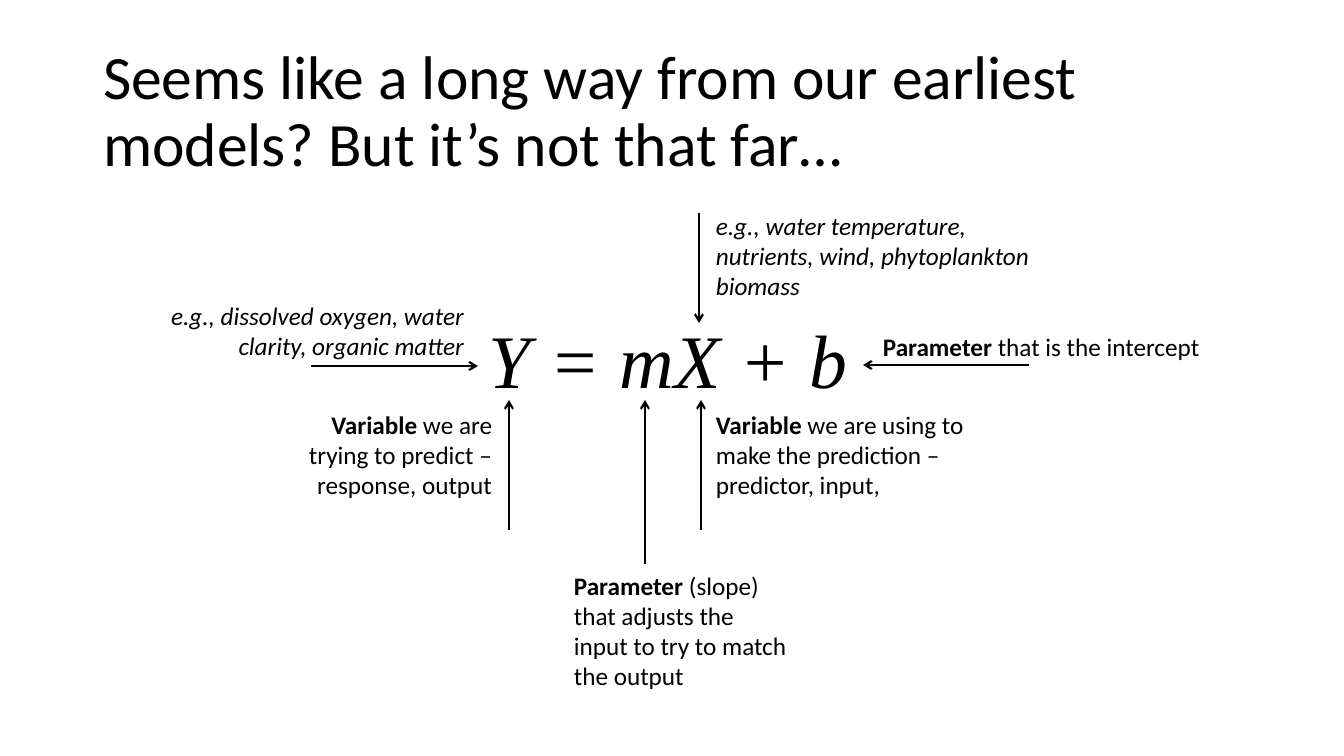
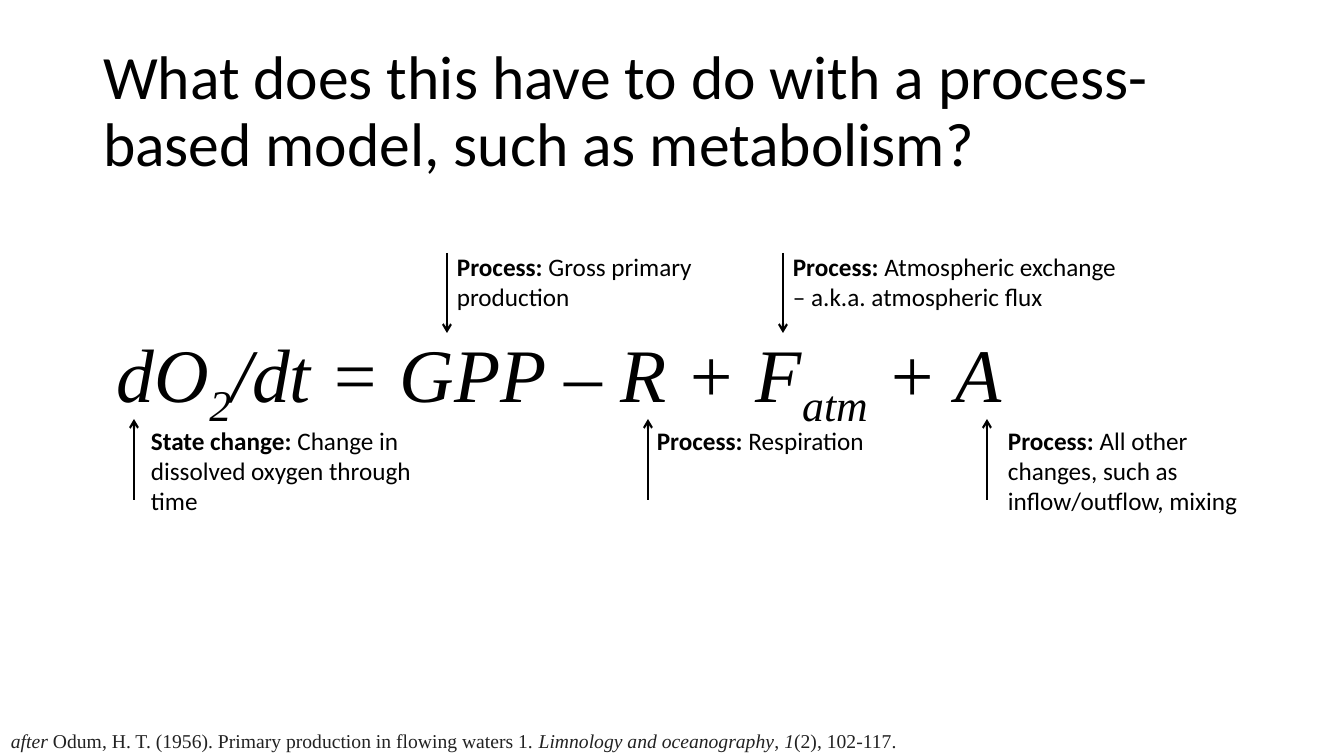
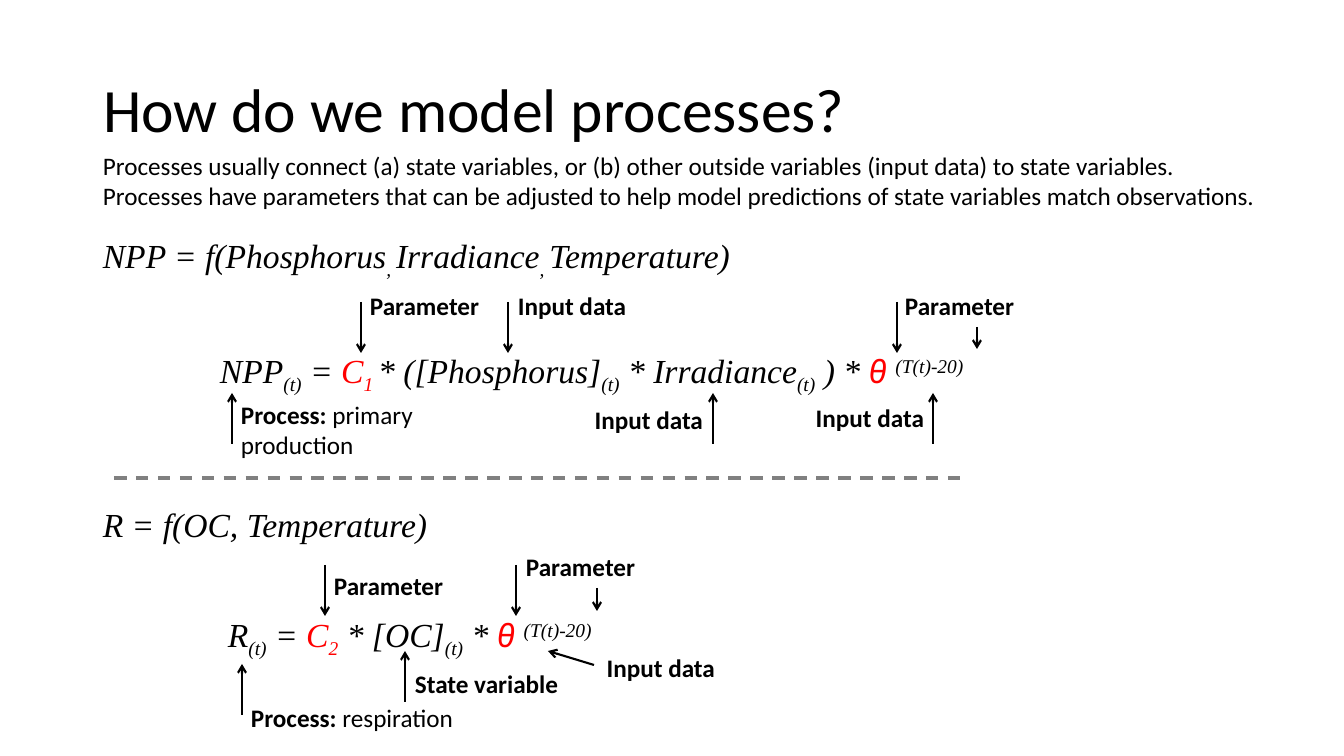
from lxml.etree import SubElement
from pptx import Presentation
from pptx.dml.color import RGBColor
from pptx.enum.dml import MSO_LINE
from pptx.enum.shapes import MSO_CONNECTOR
from pptx.enum.text import MSO_ANCHOR, MSO_AUTO_SIZE as AUTO_SIZE, PP_ALIGN as ALIGN
from pptx.oxml.ns import qn
from pptx.util import Emu, Pt

EMU_PER_PIXEL = 914400 / 100.8
BLACK, RED, GRAY, INK = "000000", "FF0000", "808080", "222222"
SANS, SERIF, GREEK = "Calibri", "Times New Roman", "Roboto"
LABEL_SIZE, FORMULA_SIZE, BIG_FORMULA_SIZE = 18, 24, 54
LABEL_WIDTH, NARROW_LABEL_WIDTH = 279, 200

# Kinds of formula part: font, colour, baseline shift in thousandths of a percent
FORMULA_PARTS = {
    "main": (SERIF, BLACK, 0),
    "sub": (SERIF, BLACK, -25000),
    "sup": (SERIF, BLACK, 30000),
    "red": (SERIF, RED, 0),
    "red sub": (SERIF, RED, -25000),
    "greek": (GREEK, RED, 0),
}
TEMPERATURE_TERM = [("θ ", "greek"), ("(T(t)-20)", "sup")]


def px(length):
    """Turn pixels into EMU."""
    return Emu(round(length * EMU_PER_PIXEL))


def color(hex_string):
    """Turn a hex string into a colour."""
    return RGBColor.from_string(hex_string)


def add_run(paragraph, text, size, font=SANS, fill=BLACK, bold=False, italic=False, baseline=0):
    """Add one formatted run to a paragraph."""
    run = paragraph.add_run()
    run.text = text
    run.font.name = font
    run.font.size = Pt(size)
    run.font.bold = bold
    run.font.italic = italic
    run.font.color.rgb = color(fill)
    if baseline:
        run._r.get_or_add_rPr().set("baseline", str(baseline))


def add_text_box(slide, left, top, width, height, align=ALIGN.LEFT):
    """Add a wrapping text box and return its first paragraph."""
    box = slide.shapes.add_textbox(px(left), px(top), px(width), px(height))
    box.text_frame.word_wrap = True
    box.text_frame.auto_size = AUTO_SIZE.SHAPE_TO_FIT_TEXT
    paragraph = box.text_frame.paragraphs[0]
    paragraph.alignment = align
    return paragraph


def add_label(slide, left, top, lead, rest="", width=LABEL_WIDTH, lines=1,
              align=ALIGN.LEFT, italic=False):
    """Add a label with a bold lead and plain or italic further text."""
    height = round(10.5 + 30.5 * lines)
    paragraph = add_text_box(slide, left, top, width, height, align)
    if lead:
        add_run(paragraph, lead, LABEL_SIZE, bold=True)
    if rest:
        add_run(paragraph, rest, LABEL_SIZE, italic=italic)


def add_formula(slide, left, top, parts, width=1005, height=50, size=FORMULA_SIZE):
    """Add an italic formula built from (text, kind) parts."""
    paragraph = add_text_box(slide, left, top, width, height)
    for text, kind in parts:
        font, fill, baseline = FORMULA_PARTS[kind]
        add_run(paragraph, text, size, font, fill, italic=True, baseline=baseline)


def add_line(slide, start, end, fill=BLACK, weight=1.5):
    """Add a straight line without a shadow."""
    line = slide.shapes.add_connector(
        MSO_CONNECTOR.STRAIGHT, px(start[0]), px(start[1]), px(end[0]), px(end[1]))
    line.line.color.rgb = color(fill)
    line.line.width = Pt(weight)
    return line


def finish_line(line, arrow=False):
    """Add the optional arrowhead and the empty effect list."""
    if arrow:
        SubElement(line.line._get_or_add_ln(), qn("a:tailEnd"), type="arrow")
    SubElement(line._element.spPr, qn("a:effectLst"))


def add_arrow(slide, start, end):
    """Add an arrow that points at end."""
    finish_line(add_line(slide, start, end), arrow=True)


def add_vertical_arrows(slide, xs, start_y, end_y):
    """Add upright arrows that share their start and end heights."""
    for x in xs:
        add_arrow(slide, (x, start_y), (x, end_y))


def add_divider(slide, left, right, y):
    """Add a dashed gray line across the slide."""
    line = add_line(slide, (left, y), (right, y), GRAY, 2.25)
    line.line.dash_style = MSO_LINE.DASH
    finish_line(line)


def add_titled_slide(presentation, text):
    """Add a title-only slide and format its title."""
    slide = presentation.slides.add_slide(presentation.slide_layouts[5])
    title = slide.shapes.title
    title.left, title.top, title.width, title.height = map(px, (93, 40, 1159, 146))
    frame = title.text_frame
    frame.word_wrap = True
    frame.auto_size = AUTO_SIZE.NONE
    frame.vertical_anchor = MSO_ANCHOR.MIDDLE
    paragraph = frame.paragraphs[0]
    paragraph.alignment = ALIGN.LEFT
    paragraph.line_spacing = 0.9
    add_run(paragraph, text, 44)
    return slide


def build_linear_model(presentation):
    """Build the slide on the straight-line model."""
    slide = add_titled_slide(
        presentation, "Seems like a long way from our earliest models? But it’s not that far…")
    add_formula(slide, 479, 308, [("Y = mX + b ", "main")], 672, 102, BIG_FORMULA_SIZE)
    add_label(slide, 269, 404, "Variable", " we are trying to predict – response, output",
              233, 3, ALIGN.RIGHT)
    add_label(slide, 706, 404, "Variable",
              " we are using to make the prediction – predictor, input, ", 316, 3)
    add_label(slide, 873, 326, "Parameter", " that is the intercept ", 349)
    add_label(slide, 564, 565, "Parameter",
              " (slope) that adjusts the input to try to match the output", 233, 4)
    add_label(slide, 125, 295, "", "e.g., dissolved oxygen, water clarity, organic matter",
              349, 2, ALIGN.RIGHT, italic=True)
    add_label(slide, 706, 205, "",
              "e.g., water temperature, nutrients, wind, phytoplankton biomass",
              349, 3, italic=True)
    add_vertical_arrows(slide, [699], 213, 323)
    add_vertical_arrows(slide, [509, 701], 530, 400)
    add_vertical_arrows(slide, [645], 564, 400)
    add_arrow(slide, (311, 366), (478, 366))
    add_arrow(slide, (1029, 365), (863, 365))


def build_metabolism(presentation):
    """Build the slide on the metabolism model."""
    slide = add_titled_slide(
        presentation, "What does this have to do with a process-based model, such as metabolism?")
    parts = [("dO", "main"), ("2", "sub"), ("/dt = GPP – R + F", "main"),
             ("atm", "sub"), (" + A ", "main")]
    add_formula(slide, 107, 322, parts, 988, 102, BIG_FORMULA_SIZE)
    add_label(slide, 447, 246, "Process: ", "Gross primary production", lines=2)
    add_label(slide, 783, 246, "Process: ",
              "Atmospheric exchange – a.k.a. atmospheric flux", 354, 2)
    add_label(slide, 141, 420, "State change: ",
              "Change in dissolved oxygen through time", 305, 3)
    add_label(slide, 647, 420, "Process: ", "Respiration")
    add_label(slide, 998, 420, "Process: ",
              "All other changes, such as inflow/outflow, mixing", 268, 3)
    add_vertical_arrows(slide, [447, 783], 253, 333)
    add_vertical_arrows(slide, [134, 648, 987], 500, 419)

    citation = add_text_box(slide, 1, 724, 1091, 34)
    for text, italic in [
        ("after ", True),
        ("Odum, H. T. (1956). Primary production in flowing waters 1.\u00a0", False),
        ("Limnology and oceanography", True),
        (",\u00a0", False),
        ("1", True),
        ("(2), 102-117.", False),
    ]:
        add_run(citation, text, 14, SERIF, INK, italic=italic)


def build_processes(presentation):
    """Build the slide on production and respiration."""
    slide = add_titled_slide(presentation, "How do we model processes? ")
    add_label(slide, 93, 145, "",
              "Processes usually connect (a) state variables, or (b) other outside variables "
              "(input data) to state variables. Processes have parameters that can be adjusted "
              "to help model predictions of state variables match observations.", 1187, 2)

    add_formula(slide, 93, 230, [
        ("NPP = f(Phosphorus", "main"), (", ", "sub"), ("Irradiance", "main"),
        (", ", "sub"), ("Temperature)", "main")])
    add_formula(slide, 210, 345, [
        ("NPP", "main"), ("(t)", "sub"), (" = ", "main"), ("C", "red"), ("1 ", "red sub"),
        ("* ([Phosphorus]", "main"), ("(t)", "sub"), (" * Irradiance", "main"),
        ("(t)", "sub"), (" ) * ", "main")] + TEMPERATURE_TERM)
    add_vertical_arrows(slide, [361, 508, 897], 302, 353)
    add_vertical_arrows(slide, [232, 713, 933], 444, 393)
    add_vertical_arrows(slide, [977], 327, 349)
    add_label(slide, 231, 394, "Process: ", "primary production", lines=2)

    add_divider(slide, 114, 963, 478)

    add_formula(slide, 93, 499, [("R = f(OC, Temperature)", "main")])
    add_formula(slide, 218, 609, [
        ("R", "main"), ("(t)", "sub"), (" = ", "main"), ("C", "red"), ("2", "red sub"),
        (" * [OC]", "main"), ("(t)", "sub"), (" * ", "main")] + TEMPERATURE_TERM)
    add_vertical_arrows(slide, [325, 516], 565, 616)
    add_vertical_arrows(slide, [597], 588, 611)
    add_vertical_arrows(slide, [242], 715, 664)
    add_vertical_arrows(slide, [405], 702, 651)
    add_arrow(slide, (594, 665), (548, 651))
    add_label(slide, 241, 697, "Process: ", "respiration")

    for left, top, text in [
        (360, 285, "Parameter"), (508, 285, "Input data"), (895, 285, "Parameter"),
        (324, 565, "Parameter"), (516, 546, "Parameter"), (405, 663, "State variable"),
    ]:
        add_label(slide, left, top, text)
    for left, top in [(513, 399), (734, 397), (525, 647)]:
        add_label(slide, left, top, "Input data", width=NARROW_LABEL_WIDTH, align=ALIGN.RIGHT)


def main():
    """Build and save the presentation."""
    presentation = Presentation()
    presentation.slide_width, presentation.slide_height = px(1344), px(756)
    build_linear_model(presentation)
    build_metabolism(presentation)
    build_processes(presentation)
    presentation.save("out.pptx")


main()
